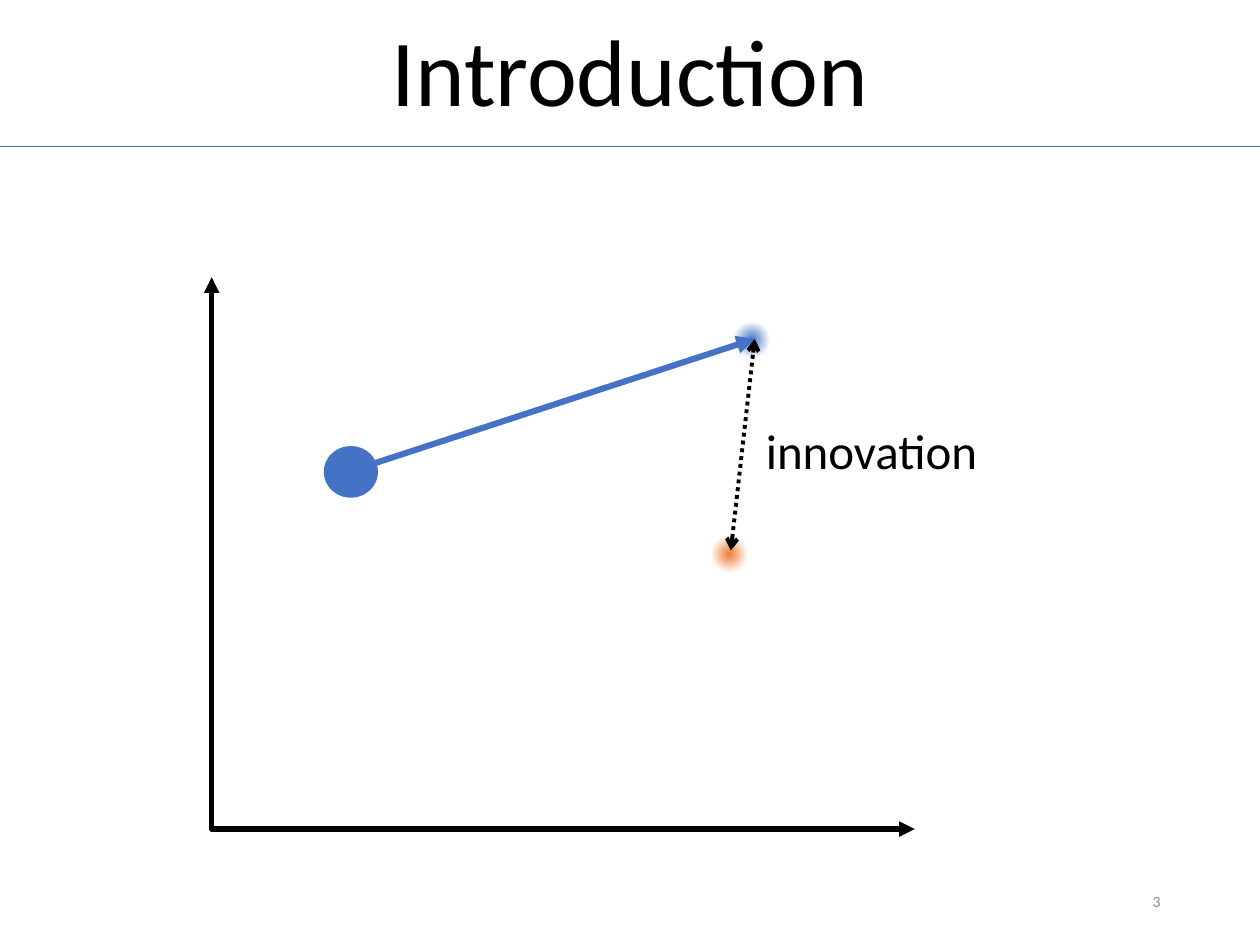
from pptx import Presentation
from pptx.dml.color import RGBColor
from pptx.enum.dml import MSO_LINE
from pptx.enum.shapes import MSO_CONNECTOR, MSO_SHAPE
from pptx.enum.text import MSO_ANCHOR, MSO_AUTO_SIZE, PP_ALIGN
from pptx.oxml import parse_xml
from pptx.oxml.ns import nsdecls
from pptx.util import Inches, Pt
from lxml.etree import SubElement
from pptx.oxml.ns import qn

BLACK = RGBColor(0x00, 0x00, 0x00)
BLUE = RGBColor(0x44, 0x72, 0xC4)
ORANGE = RGBColor(0xED, 0x7D, 0x31)
GRAY = RGBColor(0x8C, 0x8C, 0x8C)

deck = Presentation()
deck.slide_width, deck.slide_height = Inches(10), Inches(7.5)
slide = deck.slides.add_slide(deck.slide_layouts[6])
shapes = slide.shapes

# Grid of 100 columns by 75 rows
COL = deck.slide_width // 100
ROW = deck.slide_height // 75


def add_text(text, x, y, w, h, size, color=BLACK, align=PP_ALIGN.LEFT,
             anchor=MSO_ANCHOR.MIDDLE, space=None, wrap=True):
    box = shapes.add_textbox(int(x * COL), int(y * ROW), int(w * COL), int(h * ROW))
    frame = box.text_frame
    frame.word_wrap = wrap
    frame.auto_size = MSO_AUTO_SIZE.NONE if wrap else MSO_AUTO_SIZE.SHAPE_TO_FIT_TEXT
    frame.vertical_anchor = anchor
    para = frame.paragraphs[0]
    para.alignment = align
    para.line_spacing = space
    run = para.add_run()
    run.text = text
    run.font.name, run.font.size = "Calibri", Pt(size)
    run.font.color.rgb = color


def add_line(x1, y1, x2, y2, color, width, kind=MSO_CONNECTOR.STRAIGHT,
             head=None, tail=None, dash=None):
    line = shapes.add_connector(kind, int(x1 * COL), int(y1 * ROW),
                                int(x2 * COL), int(y2 * ROW))
    line.line.color.rgb = color
    line.line.width = Pt(width)
    if dash:
        line.line.dash_style = dash
    props = line._element.spPr
    for tag, end in (("a:headEnd", head), ("a:tailEnd", tail)):
        if end:
            SubElement(props.find(qn("a:ln")), qn(tag), type=end)
    SubElement(props, qn("a:effectLst"))
    return line


add_text("Introduction", 0, 0.2, 100, 11.6, 54, align=PP_ALIGN.CENTER, space=0.9)
add_line(0, 11.6, 100, 11.6, BLUE, 0.5)
add_text("3", 70.6, 69.5, 22.5, 4, 9, color=GRAY, align=PP_ALIGN.RIGHT)

# Blurred estimates: the colour fades out a few percent from the centre
for x, y, w, h, color, fade in ((36.1, 24.2, 43.5, 39.6, ORANGE, 5),
                                (46.7, 14, 25.9, 25.9, BLUE, 8)):
    glow = shapes.add_shape(MSO_SHAPE.OVAL, int(x * COL), int(y * ROW),
                            int(w * COL), int(h * ROW))
    glow.shadow.inherit = False
    glow.line.fill.background()
    glow._element.spPr.insert(2, parse_xml(
        f'<a:gradFill {nsdecls("a")}><a:gsLst>'
        f'<a:gs pos="0"><a:srgbClr val="{color}"/></a:gs>'
        f'<a:gs pos="{fade * 1000}"><a:srgbClr val="{color}">'
        '<a:alpha val="0"/></a:srgbClr></a:gs></a:gsLst>'
        '<a:path path="circle"><a:fillToRect l="50000" t="50000" r="50000" b="50000"/>'
        '</a:path></a:gradFill>'))

# Both axes are one elbow, mirrored and turned by 270 degrees
axes = add_line(66.6, 16, 22.8, 71.8, BLACK, 3, kind=MSO_CONNECTOR.ELBOW,
                head="triangle", tail="triangle")
axes._element.spPr.find(qn("a:xfrm")).set("rot", str(270 * 60000))
axes._element.spPr.find(qn("a:prstGeom")).set("prst", "bentConnector2")

start = shapes.add_shape(MSO_SHAPE.OVAL, int(25.7 * COL), int(35.4 * ROW),
                         int(4.3 * COL), int(4.1 * ROW))
start.shadow.inherit = False
start.fill.solid()
start.fill.fore_color.rgb = BLUE
start.line.fill.background()

add_line(27.8, 37.4, 59.9, 26.9, BLUE, 3.5, tail="triangle")
add_line(58, 43.7, 59.9, 26.9, BLACK, 2.25, head="arrow", tail="arrow",
         dash=MSO_LINE.ROUND_DOT)
add_text("innovation", 59.8, 32.9, 19, 5.7, 28, anchor=MSO_ANCHOR.TOP, wrap=False)

deck.save("out.pptx")
